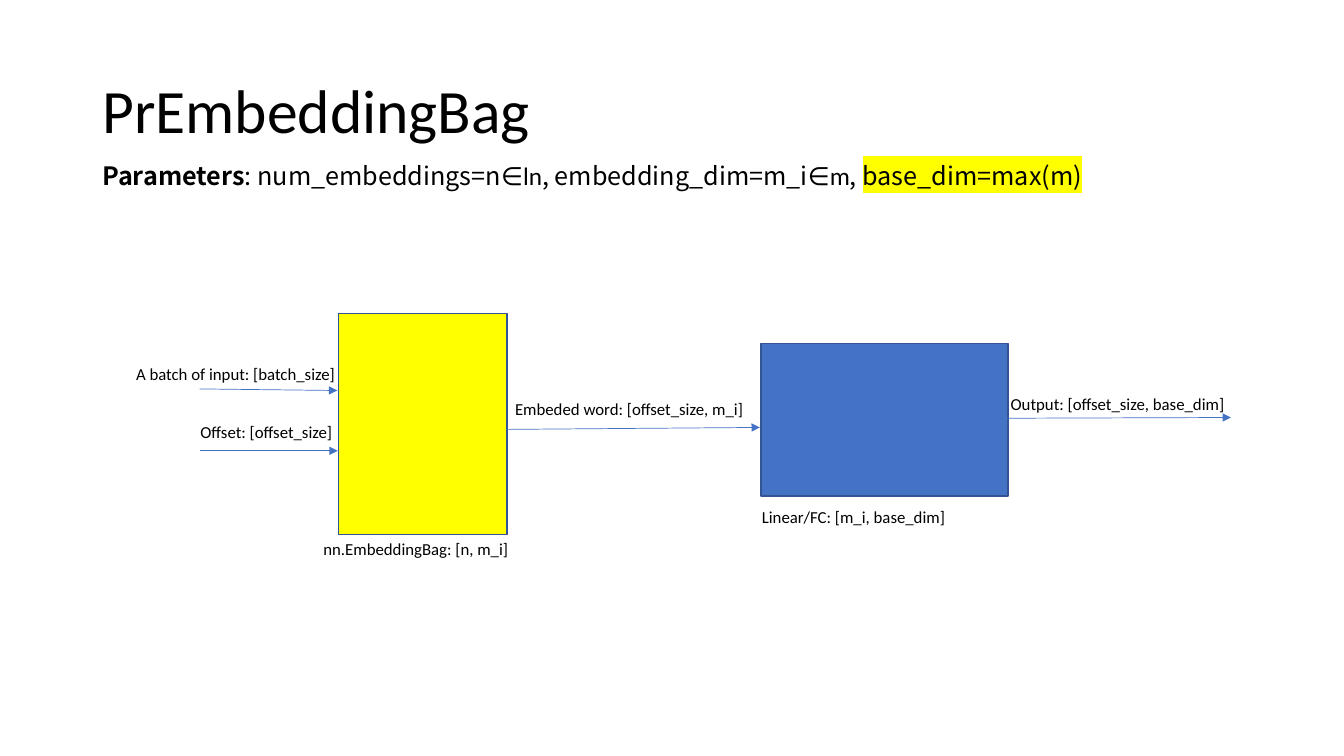
import pptx
import pptx.util
import pptx.dml.color
import pptx.enum.shapes
import pptx.enum.text
import pptx.oxml
import pptx.oxml.ns

Cm, Pt = pptx.util.Cm, pptx.util.Pt
RGB = pptx.dml.color.RGBColor
BLACK = RGB(0x00, 0x00, 0x00)
YELLOW = RGB(0xFF, 0xFF, 0x00)
BLUE = RGB(0x44, 0x72, 0xC4)
EDGE = RGB(0x32, 0x54, 0x91)
LATIN, NOTO = "Calibri", "Noto Sans CJK SC"
NS = pptx.oxml.ns.nsdecls("a")

deck = pptx.Presentation()
deck.slide_width, deck.slide_height = Cm(33.87), Cm(19.05)
slide = deck.slides.add_slide(deck.slide_layouts[6])
shapes = slide.shapes


def write(text, box, size=12, font=LATIN, bold=False, mark=None):
    """Add a run of text to the first paragraph of a box."""
    run = box.text_frame.paragraphs[0].add_run()
    run.text = text
    run.font.size, run.font.name, run.font.bold = Pt(size), font, bold
    run.font.color.rgb = BLACK
    if mark is not None:
        glow = pptx.oxml.parse_xml(
            f'<a:highlight {NS}><a:srgbClr val="{mark}"/></a:highlight>')
        fill = run.font._element.find(pptx.oxml.ns.qn("a:solidFill"))
        fill.addnext(glow)


def frame(left, top, width, height):
    """Add an empty wrapping text box."""
    box = shapes.add_textbox(Cm(left), Cm(top), Cm(width), Cm(height))
    box.text_frame.word_wrap = True
    return box


# Title
title = frame(2.33, 1.01, 29.21, 3.68)
title.text_frame.vertical_anchor = pptx.enum.text.MSO_ANCHOR.MIDDLE
title.text_frame.paragraphs[0].line_spacing = 0.9
write("PrEmbeddingBag", title, size=44)

# Parameter line
params = frame(2.33, 3.91, 31.34, 1.03)
for text, font, bold, mark in [
    ("Parameters", NOTO, True, None),
    (":\u00a0num_embeddings=n", NOTO, False, None),
    ("∈ln", LATIN, False, None),
    (", embedding_dim=m_i", NOTO, False, None),
    ("∈m", LATIN, False, None),
    (", ", NOTO, False, None),
    ("base_dim=max(m)", NOTO, False, YELLOW),
]:
    write(text, params, size=18, font=font, bold=bold, mark=mark)

# Layer blocks
for left, top, width, height, color in [
    (8.53, 7.9, 4.25, 5.57, YELLOW),
    (19.18, 8.66, 6.22, 3.84, BLUE),
]:
    block = shapes.add_shape(pptx.enum.shapes.MSO_SHAPE.RECTANGLE,
                             Cm(left), Cm(top), Cm(width), Cm(height))
    block.shadow.inherit = False
    block.fill.solid()
    block.fill.fore_color.rgb = color
    block.line.color.rgb = EDGE
    block.line.width = Pt(1)

# Labels
for text, left, top, width in [
    ("A batch of input: [batch_size]", 3.18, 9.04, 6.4),
    ("Offset: [offset_size]", 4.8, 10.5, 6.4),
    ("nn.EmbeddingBag: [n, m_i]", 7.9, 13.46, 5.77),
    ("Embeded word: [offset_size, m_i]", 12.73, 9.92, 6.35),
    ("Linear/FC: [m_i, base_dim]", 18.95, 12.65, 7.62),
    ("Output: [offset_size, base_dim]", 25.22, 9.8, 7.62),
]:
    write(text, frame(left, top, width, 0.76))

# Data flow arrows
for x1, y1, x2, y2 in [
    (5.03, 9.8, 8.5, 9.84),
    (5.05, 11.36, 8.51, 11.36),
    (12.76, 10.82, 19.15, 10.77),
    (25.36, 10.54, 31.02, 10.52),
]:
    arrow = shapes.add_connector(pptx.enum.shapes.MSO_CONNECTOR.STRAIGHT,
                                 Cm(x1), Cm(y1), Cm(x2), Cm(y2))
    arrow.line.color.rgb = BLUE
    arrow.line.width = Pt(0.5)
    line = arrow.line._get_or_add_ln()
    line.append(pptx.oxml.parse_xml(f'<a:tailEnd {NS} type="triangle"/>'))
    line.addnext(pptx.oxml.parse_xml(f"<a:effectLst {NS}/>"))

deck.save("out.pptx")
